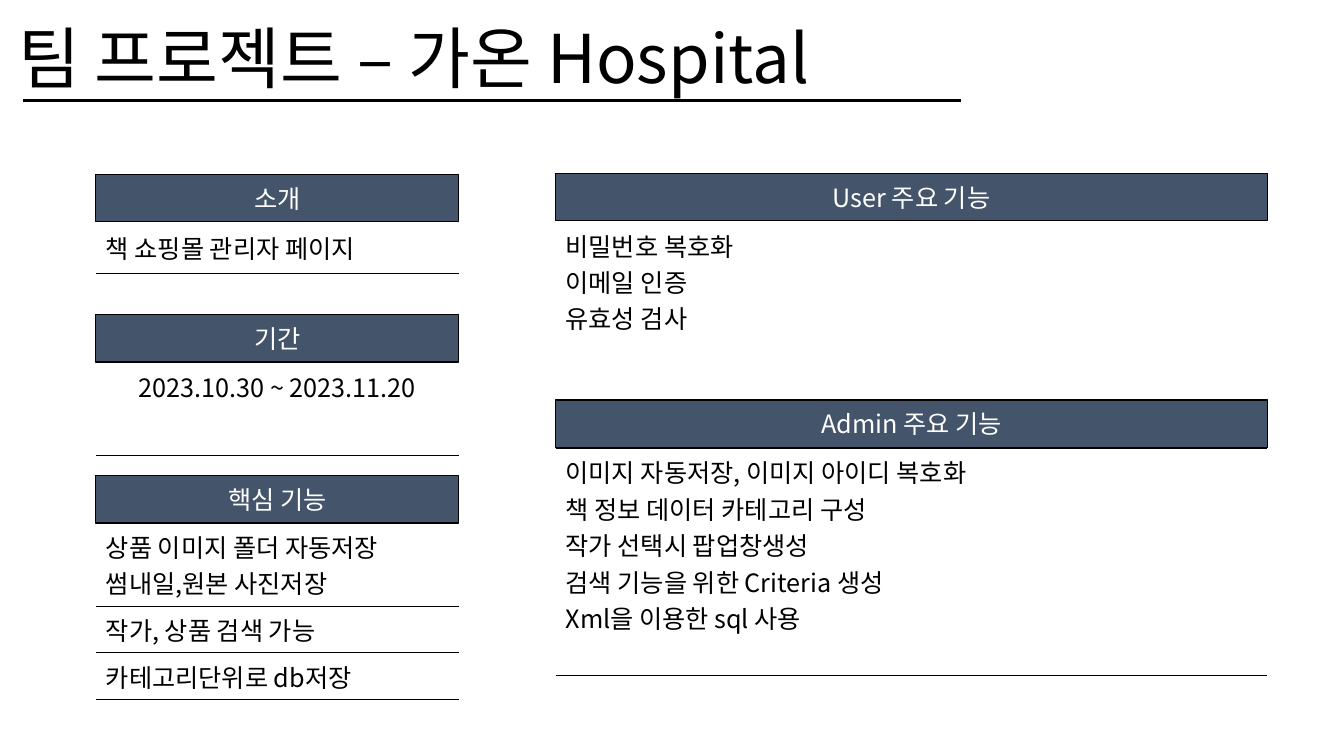
from pptx import Presentation
from pptx.dml.color import RGBColor
from pptx.enum.shapes import MSO_CONNECTOR, MSO_SHAPE
from pptx.enum.text import MSO_ANCHOR, MSO_AUTO_SIZE, PP_ALIGN
from pptx.oxml.ns import qn
from pptx.util import Inches, Pt
from lxml import etree

LEFT, CENTER = PP_ALIGN.LEFT, PP_ALIGN.CENTER
TOP, MIDDLE = MSO_ANCHOR.TOP, MSO_ANCHOR.MIDDLE
RECTANGLE = MSO_SHAPE.RECTANGLE
STRAIGHT = MSO_CONNECTOR.STRAIGHT
NO_AUTOFIT = MSO_AUTO_SIZE.NONE

FONT = "Noto Sans CJK KR"
BLACK, WHITE, NAVY = "000000", "FFFFFF", "44546A"
WIDTH, HEIGHT = 13.33, 7.5
HEADER_HEIGHT = 0.47
LEFT_COLUMN = (0.95, 3.6)
RIGHT_COLUMN = (5.51, 7.06)

TITLE = "팀 프로젝트 – 가온 Hospital"
HEADERS = [
    ("소개", LEFT_COLUMN, 1.73),
    ("기간", LEFT_COLUMN, 3.12),
    ("핵심 기능", LEFT_COLUMN, 4.72),
    ("User 주요 기능", RIGHT_COLUMN, 1.72),
    ("Admin 주요 기능", RIGHT_COLUMN, 3.97),
]
TABLES = [
    dict(column=LEFT_COLUMN, top=2.21, align=LEFT, anchor=MIDDLE, ruled=[0], rows=[
        (0.5, ["책 쇼핑몰 관리자 페이지"]),
    ]),
    dict(column=LEFT_COLUMN, top=3.6, align=CENTER, anchor=MIDDLE, ruled=[1], rows=[
        (0.46, ["2023.10.30 ~ 2023.11.20"]),
        (0.46, []),
    ]),
    dict(column=LEFT_COLUMN, top=5.19, align=LEFT, anchor=MIDDLE, ruled=[0, 1, 2], rows=[
        (0.82, ["상품 이미지 폴더 자동저장", "썸내일,원본 사진저장"]),
        (0.46, ["작가, 상품 검색 가능"]),
        (0.46, ["카테고리단위로 db저장"]),
    ]),
    dict(column=RIGHT_COLUMN, top=2.2, align=LEFT, anchor=TOP, ruled=[0, 1], rows=[
        (2.25, ["비밀번호 복호화", "이메일 인증", "유효성 검사"]),
        (2.25, ["이미지 자동저장, 이미지 아이디 복호화", "책 정보 데이터 카테고리 구성",
                "작가 선택시 팝업창생성", "검색 기능을 위한 Criteria 생성",
                "Xml을 이용한 sql 사용"]),
    ]),
]


def rgb(value):
    return RGBColor.from_string(value)


def write(frame, lines, size=18, color=BLACK, align=LEFT, spacing=None):
    for index, line in enumerate(lines):
        paragraph = frame.add_paragraph() if index else frame.paragraphs[0]
        paragraph.alignment = align
        paragraph.line_spacing = spacing
        run = paragraph.add_run()
        run.text = line
        run.font.size = Pt(size)
        run.font.name = FONT
        run.font.color.rgb = rgb(color)
        east_asian = etree.SubElement(run.font._element, qn("a:ea"))
        east_asian.set("typeface", FONT)


def set_borders(cell, ruled_sides):
    properties = cell._tc.get_or_add_tcPr()
    for position, side in enumerate("LRTB"):
        border = etree.Element(qn("a:ln" + side), w=str(Pt(1)))
        if side in ruled_sides:
            fill = etree.SubElement(border, qn("a:solidFill"))
            etree.SubElement(fill, qn("a:srgbClr"), val=BLACK)
        else:
            etree.SubElement(border, qn("a:noFill"))
        properties.insert(position, border)


def add_list(slide, column, top, align, anchor, ruled, rows):
    left, width = column
    total = sum(height for height, _ in rows)
    table = slide.shapes.add_table(len(rows), 1, Inches(left), Inches(top),
                                   Inches(width), Inches(total)).table
    table.first_row = table.horz_banding = False
    for index, (height, lines) in enumerate(rows):
        table.rows[index].height = Inches(height)
        cell = table.cell(index, 0)
        cell.vertical_anchor = anchor
        cell.fill.solid()
        cell.fill.fore_color.rgb = rgb(WHITE)
        sides = ("T" if index - 1 in ruled else "") + ("B" if index in ruled else "")
        set_borders(cell, sides)
        write(cell.text_frame, lines, align=align)


def add_header(slide, label, column, top):
    left, width = column
    header = slide.shapes.add_shape(RECTANGLE, Inches(left), Inches(top),
                                    Inches(width), Inches(HEADER_HEIGHT))
    header.shadow.inherit = False
    header.fill.solid()
    header.fill.fore_color.rgb = rgb(NAVY)
    header.line.color.rgb = rgb(BLACK)
    header.line.width = Pt(1)
    header.text_frame.vertical_anchor = MIDDLE
    write(header.text_frame, [label], color=WHITE, align=CENTER)


def add_title(slide):
    title = slide.shapes.title
    title.left, title.top = Inches(0.08), Inches(0.13)
    title.width, title.height = Inches(11.62), Inches(0.97)
    title.text_frame.auto_size = NO_AUTOFIT
    title.text_frame.vertical_anchor = MIDDLE
    write(title.text_frame, [TITLE], size=48, spacing=0.9)
    underline = slide.shapes.add_connector(STRAIGHT, Inches(0.23), Inches(1),
                                           Inches(9.53), Inches(1))
    underline.line.color.rgb = rgb(BLACK)
    underline.line.width = Pt(2.25)
    etree.SubElement(underline._element.spPr, qn("a:effectLst"))


def main():
    deck = Presentation()
    deck.slide_width, deck.slide_height = Inches(WIDTH), Inches(HEIGHT)
    slide = deck.slides.add_slide(deck.slide_layouts[5])
    add_title(slide)
    for table in TABLES:
        add_list(slide, **table)
    for header in HEADERS:
        add_header(slide, *header)
    deck.save("out.pptx")


if __name__ == "__main__":
    main()
